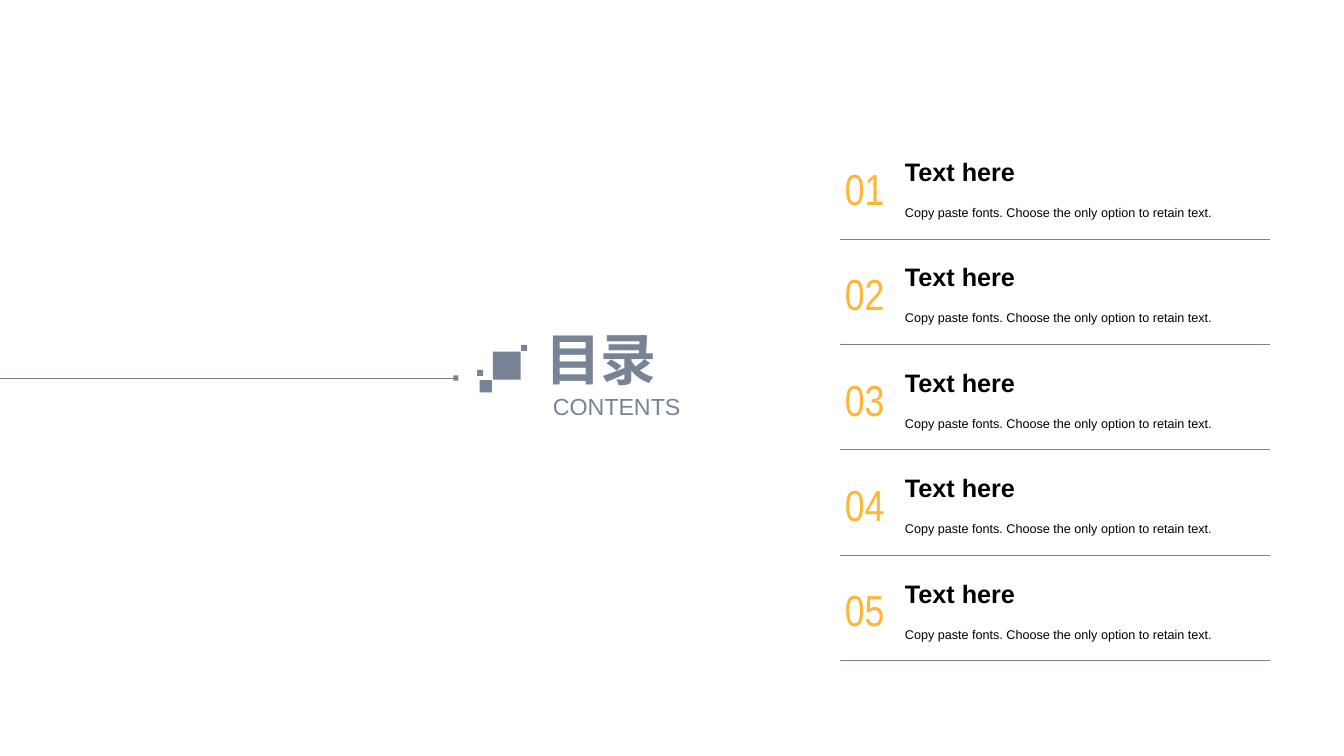
from pptx import Presentation
from pptx.dml.color import RGBColor
from pptx.enum.shapes import MSO_CONNECTOR, MSO_SHAPE
from pptx.enum.text import MSO_ANCHOR, PP_ALIGN
from pptx.oxml.ns import qn
from pptx.util import Pt
from lxml.etree import SubElement

SLATE = RGBColor(0x77, 0x84, 0x95)
AMBER = RGBColor(0xFF, 0xB5, 0x35)
BLACK = RGBColor(0, 0, 0)

# Content
HEADING, SUBHEADING = "目录", "CONTENTS"
BODY = "Copy paste fonts. Choose the only option to retain text."
ENTRIES = [(f"{n:02}", "Text here", BODY) for n in range(1, 6)]

# Decorative squares: left, top, side
SQUARES = [
    (352, 251.2, 20), (372.3, 246.3, 4.3), (342.6, 271.5, 8.8),
    (340.8, 264.2, 4.3), (323.8, 268.2, 3.6),
]

# Text formats
HEADING_FONT = dict(name="Arial", size=Pt(40), bold=True)
SUBHEADING_FONT = dict(name="Arial", size=Pt(16.6))
NUMBER_FONT = dict(name="Arial Narrow", size=Pt(31))
TITLE_FONT = dict(name="Arial", size=Pt(18), bold=True)
BODY_FONT = dict(name="Arial", size=Pt(9))

# Layout
LIST_LEFT, LIST_RIGHT, TEXT_LEFT = 600, 907.2, 639.3
TEXT_WIDTH = LIST_RIGHT - TEXT_LEFT
FIRST_TOP, PITCH = 108.1, 75.3

prs = Presentation()
prs.slide_width, prs.slide_height = Pt(960), Pt(540)
s = prs.slides.add_slide(prs.slide_layouts[6])


def add_text(text, box, font, color, align=PP_ALIGN.LEFT, anchor=MSO_ANCHOR.TOP,
             wrap=True, inset=(7.2, 3.6), spacing=None):
    tf = s.shapes.add_textbox(*map(Pt, box)).text_frame
    side, end = map(Pt, inset)
    frame = dict(word_wrap=wrap, vertical_anchor=anchor, margin_left=side,
                 margin_right=side, margin_top=end, margin_bottom=end)
    for key, value in frame.items():
        setattr(tf, key, value)
    p = tf.paragraphs[0]
    p.alignment, p.line_spacing = align, spacing
    r = p.add_run()
    r.text = text
    for key, value in font.items():
        setattr(r.font, key, value)
    r.font.color.rgb = color


def add_rule(left, right, y):
    line = s.shapes.add_connector(MSO_CONNECTOR.STRAIGHT, Pt(left), Pt(y), Pt(right), Pt(y))
    line.line.color.rgb, line.line.width = SLATE, Pt(0.5)
    SubElement(line._element.spPr, qn("a:effectLst"))


# Heading with its line and squares
add_rule(0, 325.6, 270)
for left, top, side in SQUARES:
    sp = s.shapes.add_shape(MSO_SHAPE.RECTANGLE, Pt(left), Pt(top), Pt(side), Pt(side))
    sp.shadow.inherit = False
    sp.fill.solid()
    sp.fill.fore_color.rgb = SLATE
    sp.line.fill.background()
add_text(SUBHEADING, (389.3, 280.8, 102.2, 18.7), SUBHEADING_FONT, SLATE,
         PP_ALIGN.CENTER, MSO_ANCHOR.MIDDLE, inset=(0, 0))
add_text(HEADING, (389.3, 231.8, 102.2, 48.2), HEADING_FONT, SLATE,
         PP_ALIGN.JUSTIFY, inset=(0, 0))

# Contents list
for i, (number, title, body) in enumerate(ENTRIES):
    top = FIRST_TOP + i * PITCH
    add_text(body, (TEXT_LEFT, top + 32.6, TEXT_WIDTH, 23), BODY_FONT, BLACK, spacing=1.2)
    add_text(title, (TEXT_LEFT, top, TEXT_WIDTH, 32.4), TITLE_FONT, BLACK, wrap=False)
    add_text(number, (LIST_LEFT, top + 7, 35.3, 38.2), NUMBER_FONT, AMBER,
             PP_ALIGN.CENTER, MSO_ANCHOR.MIDDLE, wrap=False, inset=(0, 0))
    add_rule(LIST_LEFT, LIST_RIGHT, top + 62.6)

prs.save("out.pptx")
